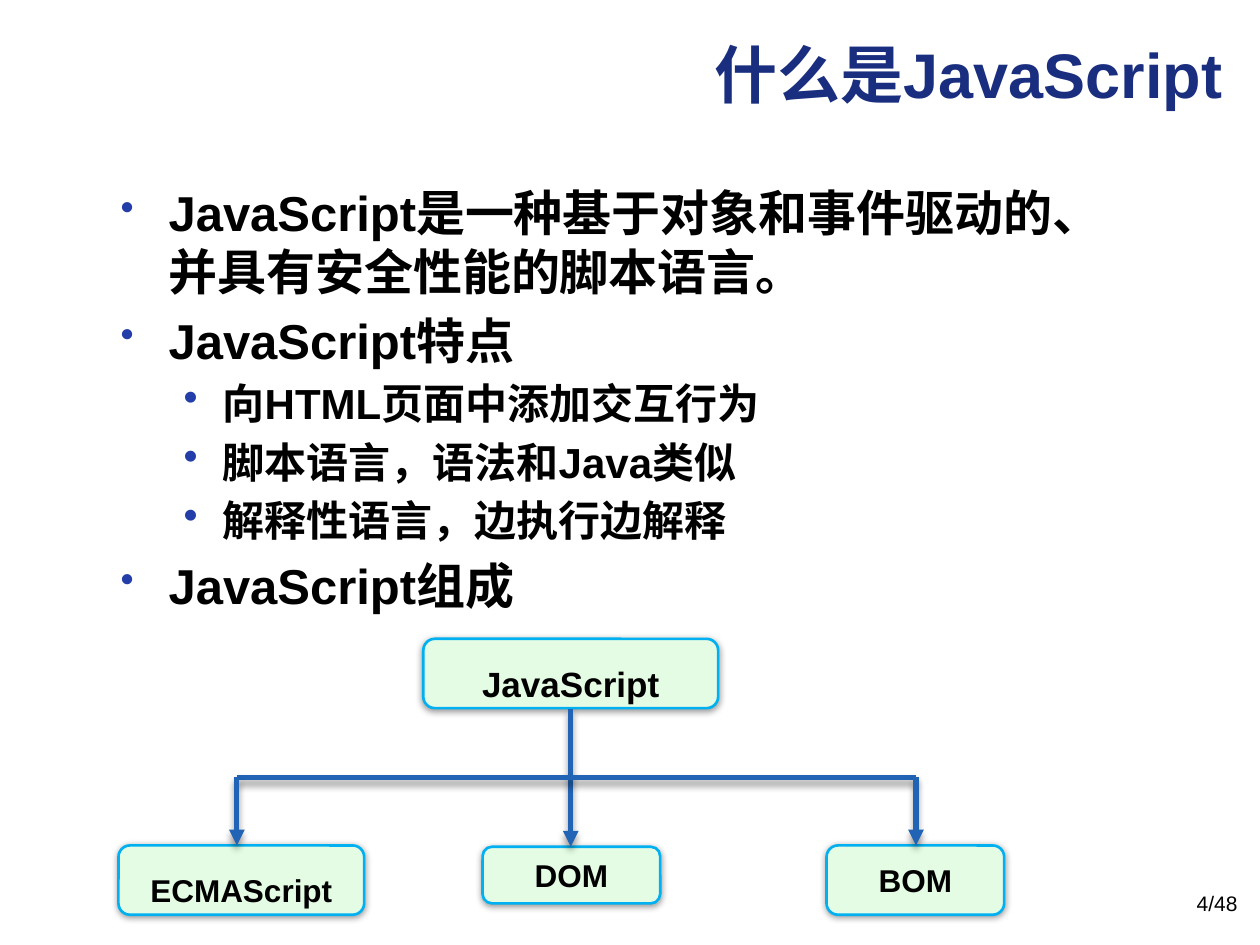
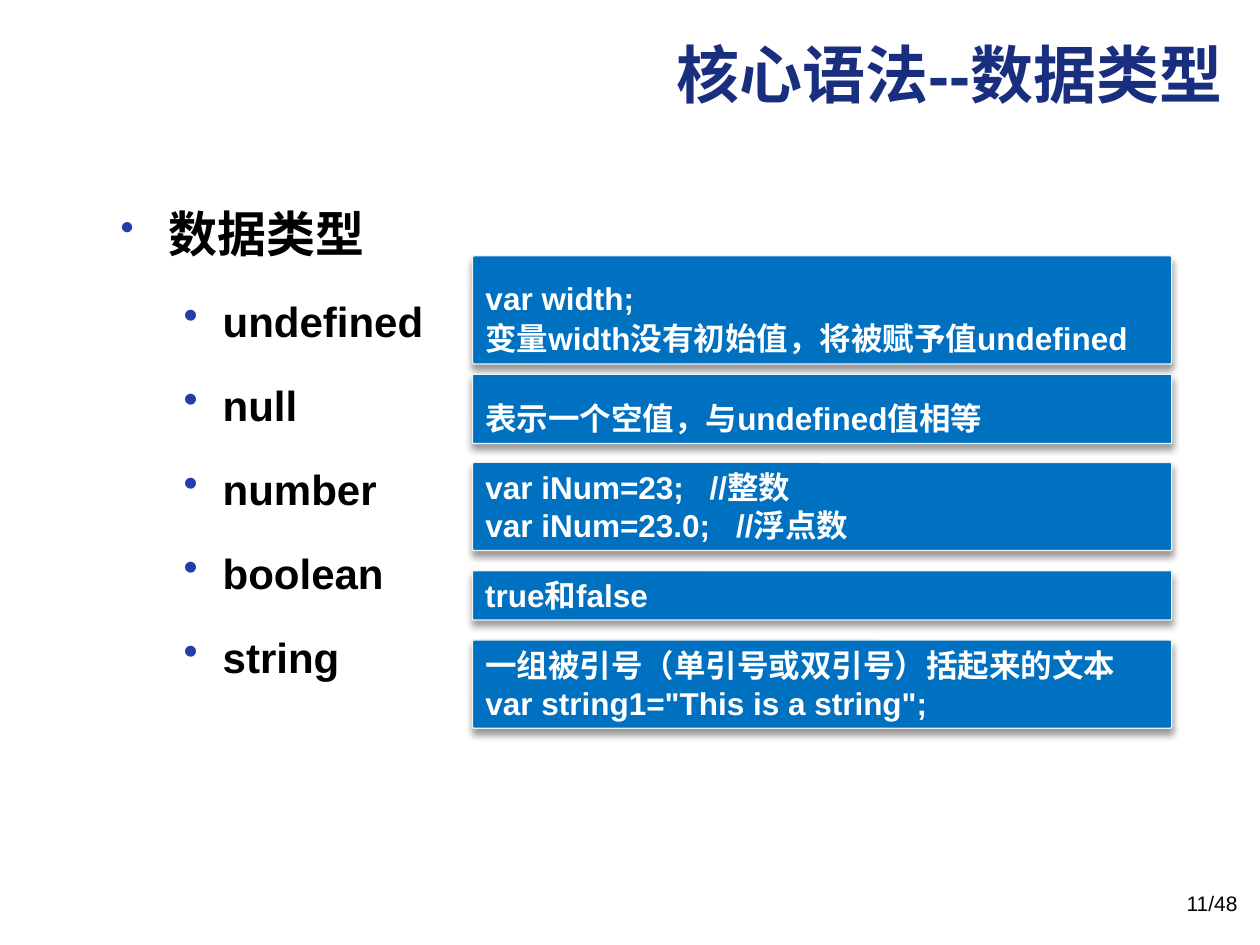
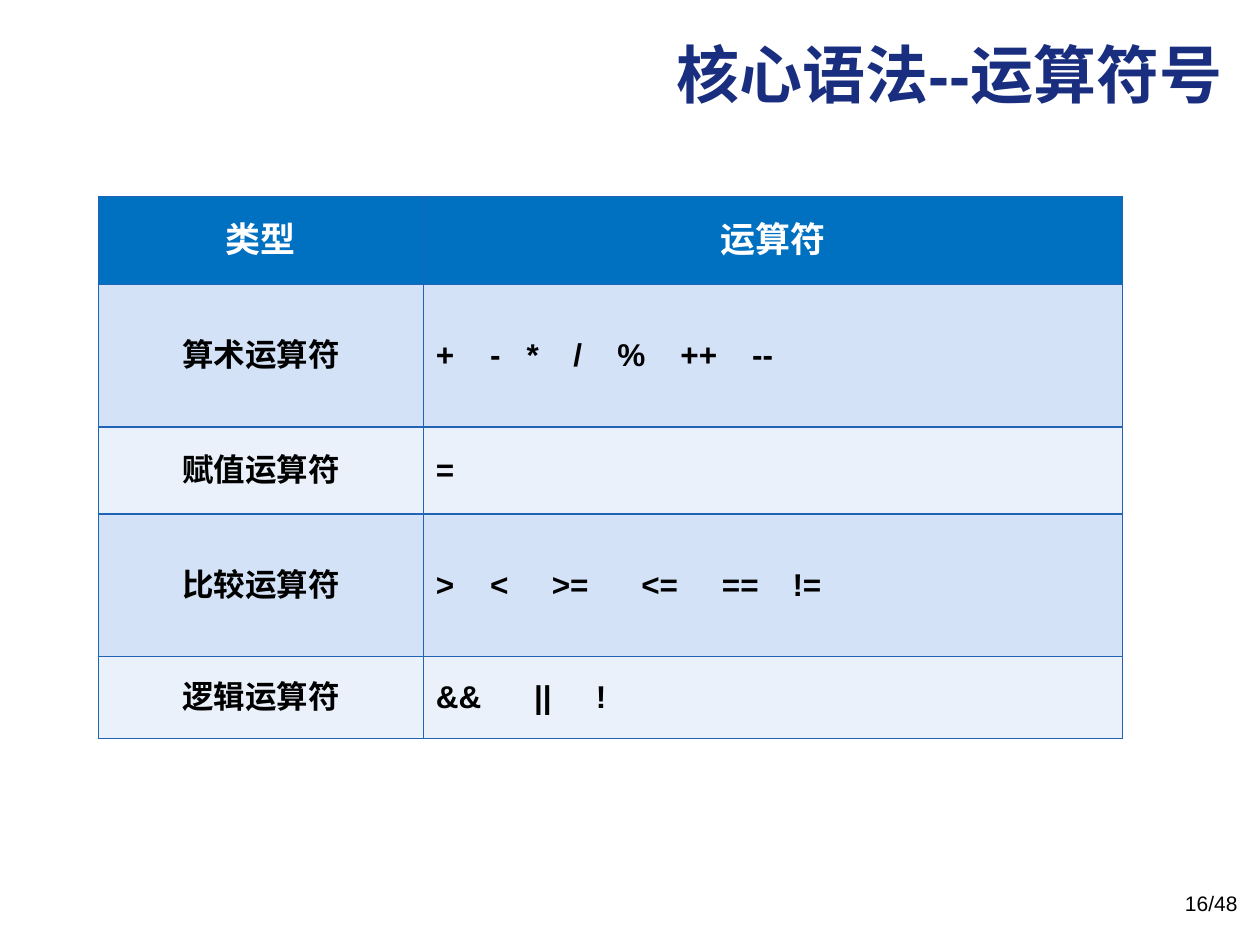
from lxml.etree import SubElement
from pptx import Presentation
from pptx.dml.color import RGBColor
from pptx.enum.shapes import MSO_CONNECTOR, MSO_SHAPE
from pptx.enum.text import MSO_ANCHOR, PP_ALIGN
from pptx.oxml.ns import qn
from pptx.util import Inches, Pt

FONT = "Arial"
COLORS = {
    "title": "1A2E7F", "text": "000000", "white": "FFFFFF", "bullet": "233DA9",
    "node": "E4FCE4", "node edge": "00B0F0", "blue": "0070C0", "note edge": "F2F2F2",
    "line": "2163B4", "odd row": "D3E2F7", "even row": "EAF1FB",
}
RGB = {part: RGBColor.from_string(value) for part, value in COLORS.items()}
LEVELS = [  # font size, left margin, hanging indent, bullet size in percent
    (28, 0.38, -0.38, 80),
    (24, 0.81, -0.31, 100),
]


def write(frame, lines, size, color="text", bold=True, before=0, tabs=(), bullets=(), **layout):
    """Fill a text frame; tabs and bullets hold one entry for each line."""
    frame.word_wrap = True
    for index, line in enumerate(lines):
        paragraph = frame.paragraphs[0] if index == 0 else frame.add_paragraph()
        p_pr = paragraph._p.get_or_add_pPr()
        line_size = size
        if bullets:
            line_size, margin, hanging, percent = LEVELS[bullets[index]]
            p_pr.set("marL", str(Inches(margin)))
            p_pr.set("indent", str(Inches(hanging)))
            bullet_color = SubElement(p_pr, qn("a:buClr"))
            SubElement(bullet_color, qn("a:srgbClr"), val=COLORS["bullet"])
            SubElement(p_pr, qn("a:buSzPct"), val=str(percent * 1000))
            SubElement(p_pr, qn("a:buChar"), char="•")
        if tabs:
            stops = SubElement(p_pr, qn("a:tabLst"))
            for stop in tabs[index]:
                SubElement(stops, qn("a:tab"), pos=str(Inches(stop)), algn="l")
        for attribute, value in layout.items():
            setattr(paragraph, attribute, value)
        if index and before:
            paragraph.space_before = Pt(before * line_size)
        run = paragraph.add_run()
        run.text = line
        run.font.color.rgb = RGB[color]
        formats = {"size": Pt(line_size), "bold": bold, "name": FONT}
        for attribute, value in formats.items():
            setattr(run.font, attribute, value)
        SubElement(run._r.get_or_add_rPr(), qn("a:ea"), typeface=FONT)


def cast_shadow(shape, distance):
    properties = shape._element.spPr
    for effects in properties.findall(qn("a:effectLst")):
        properties.remove(effects)
    effects = SubElement(properties, qn("a:effectLst"))
    shadow = SubElement(effects, qn("a:outerShdw"), blurRad=str(Pt(4)), dist=str(Pt(distance)),
                        dir="5400000", algn="t", rotWithShape="0")
    shade = SubElement(shadow, qn("a:srgbClr"), val="000000")
    SubElement(shade, qn("a:alpha"), val="40000")


deck = Presentation()
deck.slide_width, deck.slide_height = Inches(10), Inches(7.5)

# Title and page number of every slide
pages = []
for heading, number in [("什么是JavaScript", 4), ("核心语法--数据类型", 11), ("核心语法--运算符号", 16)]:
    page = deck.slides.add_slide(deck.slide_layouts[6])
    title = page.shapes.add_textbox(Inches(0.8), Inches(0.23), Inches(9), Inches(0.98))
    write(title.text_frame, [heading], 36, "title", alignment=PP_ALIGN.RIGHT)
    footer = page.shapes.add_textbox(Inches(7.59), Inches(7.02), Inches(2.33), Inches(0.4))
    write(footer.text_frame, [f"{number}/48"], 12, bold=False, alignment=PP_ALIGN.RIGHT)
    pages.append(page.shapes)
intro, types, operators = pages

# What JavaScript is
points = [
    (0, "JavaScript是一种基于对象和事件驱动的、并具有安全性能的脚本语言。"),
    (0, "JavaScript特点"),
    (1, "向HTML页面中添加交互行为"),
    (1, "脚本语言，语法和Java类似"),
    (1, "解释性语言，边执行边解释"),
    (0, "JavaScript组成"),
]
body = intro.add_textbox(Inches(0.86), Inches(1.4), Inches(8.36), Inches(5.48))
write(body.text_frame, [text for _, text in points], 28, before=0.2,
      bullets=[level for level, _ in points])

nodes = [  # label, left, top, width, height, font size, line spacing
    ("JavaScript", 3.36, 5.07, 2.34, 0.55, 20, 1.5),
    ("ECMAScript", 0.94, 6.71, 1.95, 0.55, 18, 1.5),
    ("DOM", 3.83, 6.72, 1.41, 0.45, 18, 1.0),
    ("BOM", 6.56, 6.71, 1.41, 0.55, 18, 1.0),
]
for label, left, top, width, height, size, spacing in nodes:
    node = intro.add_shape(MSO_SHAPE.FLOWCHART_ALTERNATE_PROCESS, Inches(left), Inches(top),
                           Inches(width), Inches(height))
    node.fill.solid()
    node.fill.fore_color.rgb = RGB["node"]
    node.line.color.rgb = RGB["node edge"]
    node.line.width = Pt(1.5)
    cast_shadow(node, 1)
    node.text_frame.vertical_anchor = MSO_ANCHOR.MIDDLE
    write(node.text_frame, [label], size, alignment=PP_ALIGN.CENTER, line_spacing=spacing)

branch_y = 6.17
links = [  # start x, start y, end x, end y, arrowhead
    (4.53, 5.63, 4.53, 6.72, True),
    (1.88, branch_y, 7.27, branch_y, False),
    (7.27, branch_y, 7.27, 6.71, True),
    (1.88, branch_y, 1.88, 6.71, True),
]
for *ends, has_arrow in links:
    link = intro.add_connector(MSO_CONNECTOR.STRAIGHT, *map(Inches, ends))
    link.line.color.rgb = RGB["line"]
    link.line.width = Pt(3)
    if has_arrow:
        SubElement(link._element.spPr.find(qn("a:ln")), qn("a:tailEnd"), type="triangle")
    cast_shadow(link, 3)

# Data types
type_names = ["数据类型", "undefined", "null", "number", "boolean", "string"]
body = types.add_textbox(Inches(0.86), Inches(1.33), Inches(8.36), Inches(5.48))
write(body.text_frame, type_names, 28, before=0.2, bullets=[0] + [1] * 5, line_spacing=1.5)

tight = {"line_spacing": 0.9, "before": 0.2}
notes = [  # top, height, lines, paragraph layout
    (2.03, 0.86, ["var width;", "变量width没有初始值，将被赋予值undefined"], tight),
    (2.97, 0.55, ["表示一个空值，与undefined值相等"], tight),
    (3.67, 0.7, ["var iNum=23;\t//整数", "var iNum=23.0;\t//浮点数"], {"tabs": [[1.78], [1.99]]}),
    (4.53, 0.39, ["true和false"], {}),
    (5.08, 0.7, ["一组被引号（单引号或双引号）括起来的文本", 'var string1="This is a string";'], {}),
]
for top, height, lines, layout in notes:
    note = types.add_shape(MSO_SHAPE.ROUNDED_RECTANGLE, Inches(3.75), Inches(top),
                           Inches(5.55), Inches(height))
    note.adjustments[0] = 0.02
    note.fill.solid()
    note.fill.fore_color.rgb = RGB["blue"]
    note.line.color.rgb = RGB["note edge"]
    note.line.width = Pt(0.75)
    cast_shadow(note, 3)
    note.text_frame.vertical_anchor = MSO_ANCHOR.BOTTOM
    write(note.text_frame, lines, 18, "white", alignment=PP_ALIGN.LEFT, **layout)

# Operators
rows = [  # height, kind, operators, tab stops between the operators
    (0.7, "类型", ["运算符"], []),
    (1.13, "算术运算符", ["+", "-", "*", "/", "%", "++", "--"], [0.43, 0.72, 1.09, 1.44, 1.94, 2.51]),
    (0.69, "赋值运算符", ["="], []),
    (1.13, "比较运算符", [">", "<", ">=", "<=", "==", "!="], [0.43, 0.92, 1.63, 2.27, 2.83]),
    (0.65, "逻辑运算符", ["&&", "||", "!"], [0.78, 1.27]),
]
table = operators.add_table(len(rows), 2, Inches(0.78), Inches(1.56), Inches(8.13), Inches(4.3)).table
for column, width in zip(table.columns, [2.58, 5.55]):
    column.width = Inches(width)
for row_index, (height, kind, symbols, stops) in enumerate(rows):
    table.rows[row_index].height = Inches(height)
    is_header = row_index == 0
    fill = "blue" if is_header else "odd row" if row_index % 2 else "even row"
    for column_index, text in enumerate([kind, "\t".join(symbols)]):
        cell = table.cell(row_index, column_index)
        cell_properties = cell._tc.get_or_add_tcPr()
        for side in "LRTB":
            border = SubElement(cell_properties, qn(f"a:ln{side}"), w=str(Pt(1)))
            SubElement(SubElement(border, qn("a:solidFill")), qn("a:srgbClr"), val=COLORS["line"])
        cell.fill.solid()
        cell.fill.fore_color.rgb = RGB[fill]
        cell.vertical_anchor = MSO_ANCHOR.MIDDLE
        is_centered = is_header or column_index == 0
        write(cell.text_frame, [text], 20 if is_header else 18, "white" if is_header else "text",
              tabs=[stops] if stops and column_index else (),
              alignment=PP_ALIGN.CENTER if is_centered else PP_ALIGN.LEFT)

deck.save("out.pptx")
